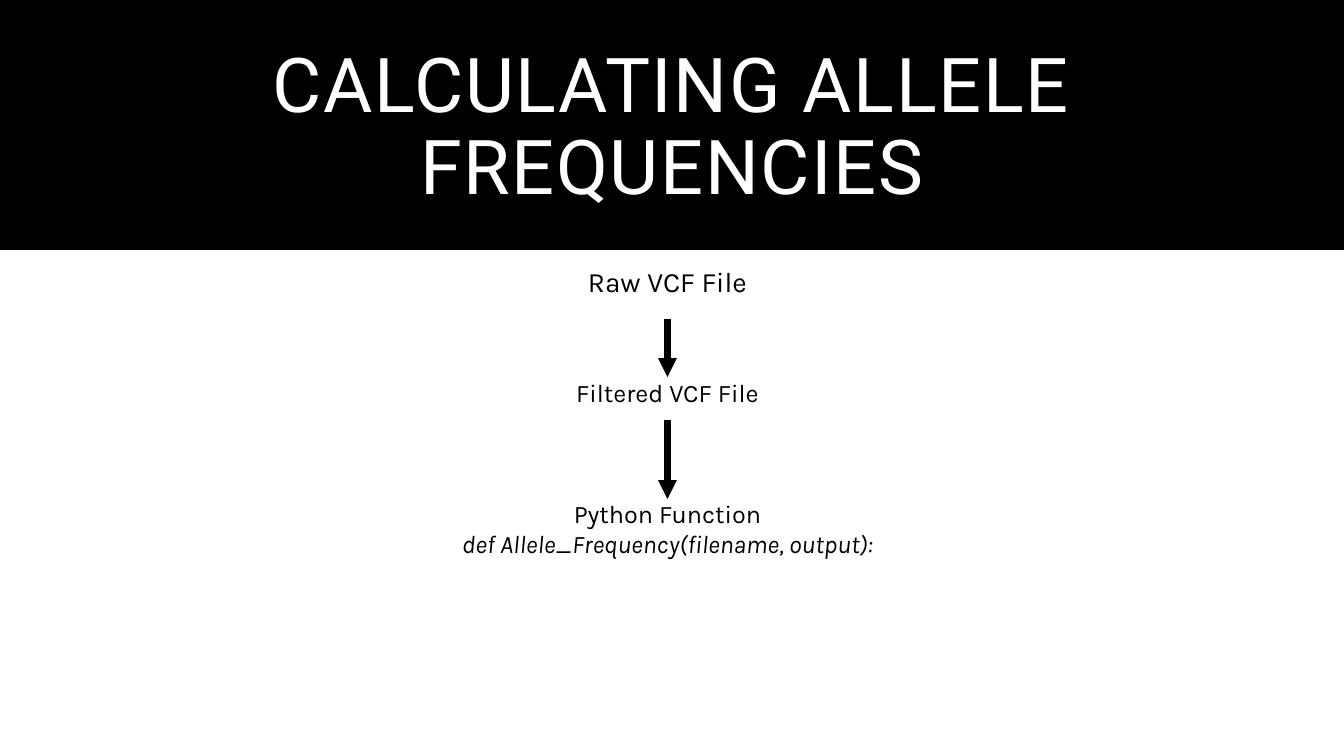
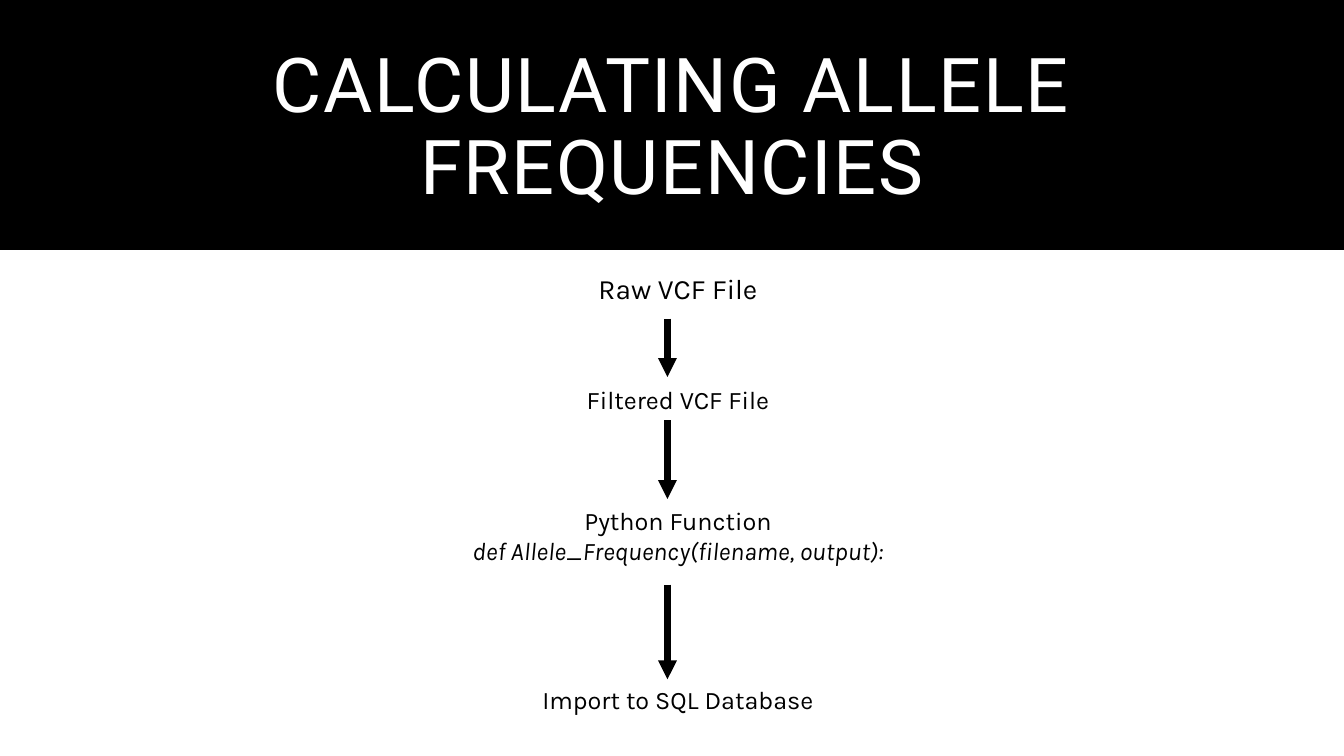
from dataclasses import dataclass

from lxml import etree
from pptx import Presentation
from pptx import util as u
from pptx.dml.color import RGBColor
from pptx.enum import shapes, text
from pptx.oxml import ns
from pptx.slide import Slide
from pptx.text.text import Font

COLORS = {"black": "000000", "white": "FFFFFF"}
TITLE_FONT, BODY_FONT = "Roboto", "Karla"
SLIDE_WIDTH, SLIDE_HEIGHT = 13.33, 7.5
BAND_HEIGHT = 2.48
ARROW_X = 6.62


@dataclass(frozen=True)
class Step:
    top: float
    height: float
    label: str
    size: int = 18
    code: str = ""


@dataclass(frozen=True)
class Arrow:
    top: float
    bottom: float


@dataclass(frozen=True)
class Flow:
    left: float
    width: float
    shift: float  # added to the top of every step
    step_count: int


STEPS = [
    Step(2.57, 0.44, "Raw VCF File", size=20),
    Step(3.69, 0.42, "Filtered VCF File"),
    Step(4.89, 0.71, "Python Function", code="def Allele_Frequency(filename, output):"),
    Step(6.67, 0.4, "Import to SQL Database"),
]
ARROWS = [Arrow(3.16, 3.74), Arrow(4.17, 4.95), Arrow(5.8, 6.74)]
FLOWS = [Flow(3.1, 7.04, 0, 3), Flow(0.21, 13.03, 0.07, 4)]


def color(name: str) -> RGBColor:
    return RGBColor.from_string(COLORS[name])


def style_font(font: Font, name: str, size: int, color_name: str) -> None:
    font.name = name
    font.size = u.Pt(size)
    font.color.rgb = color(color_name)


def add_title(slide: Slide, title: str) -> None:
    # Black band
    band = slide.shapes.add_shape(
        shapes.MSO_SHAPE.RECTANGLE, 0, 0, u.Inches(SLIDE_WIDTH), u.Inches(BAND_HEIGHT))
    band.shadow.inherit = False
    band.fill.solid()
    band.fill.fore_color.rgb = color("black")
    band.line.fill.background()

    # Title text
    box = slide.shapes.add_textbox(
        u.Inches(1.05), u.Inches(0.35), u.Inches(11.23), u.Inches(1.86))
    frame = box.text_frame
    frame.word_wrap = True
    frame.vertical_anchor = text.MSO_ANCHOR.MIDDLE
    frame.text = title
    paragraph = frame.paragraphs[0]
    paragraph.alignment = text.PP_ALIGN.CENTER
    paragraph.line_spacing = 0.9
    run = paragraph.runs[0]
    style_font(run.font, TITLE_FONT, 54, "white")
    run.font._element.set("spc", "120")


def add_step(slide: Slide, step: Step, flow: Flow) -> None:
    box = slide.shapes.add_textbox(
        u.Inches(flow.left), u.Inches(step.top + flow.shift),
        u.Inches(flow.width), u.Inches(step.height))
    frame = box.text_frame
    frame.word_wrap = True
    frame.auto_size = text.MSO_AUTO_SIZE.SHAPE_TO_FIT_TEXT
    frame.text = step.label
    if step.code:
        code_paragraph = frame.add_paragraph()
        code_paragraph.text = step.code
        code_paragraph.runs[0].font.italic = True
    for paragraph in frame.paragraphs:
        paragraph.alignment = text.PP_ALIGN.CENTER
        style_font(paragraph.runs[0].font, BODY_FONT, step.size, "black")


def add_arrow(slide: Slide, arrow: Arrow) -> None:
    connector = slide.shapes.add_connector(
        shapes.MSO_CONNECTOR.STRAIGHT, u.Inches(ARROW_X), u.Inches(arrow.top),
        u.Inches(ARROW_X), u.Inches(arrow.bottom))
    connector.line.color.rgb = color("black")
    connector.line.width = u.Pt(4.5)
    line = connector.line._get_or_add_ln()
    etree.SubElement(line, ns.qn("a:tailEnd"), type="triangle")
    etree.SubElement(connector._element.spPr, ns.qn("a:effectLst"))


def main() -> None:
    presentation = Presentation()
    presentation.slide_width = u.Inches(SLIDE_WIDTH)
    presentation.slide_height = u.Inches(SLIDE_HEIGHT)
    blank_layout = presentation.slide_layouts[6]

    # One slide per flow, with an arrow between each pair of steps
    for flow in FLOWS:
        slide = presentation.slides.add_slide(blank_layout)
        add_title(slide, "CALCULATING ALLELE FREQUENCIES")
        for step in STEPS[:flow.step_count]:
            add_step(slide, step, flow)
        for arrow in ARROWS[:flow.step_count - 1]:
            add_arrow(slide, arrow)

    presentation.save("out.pptx")


if __name__ == "__main__":
    main()
